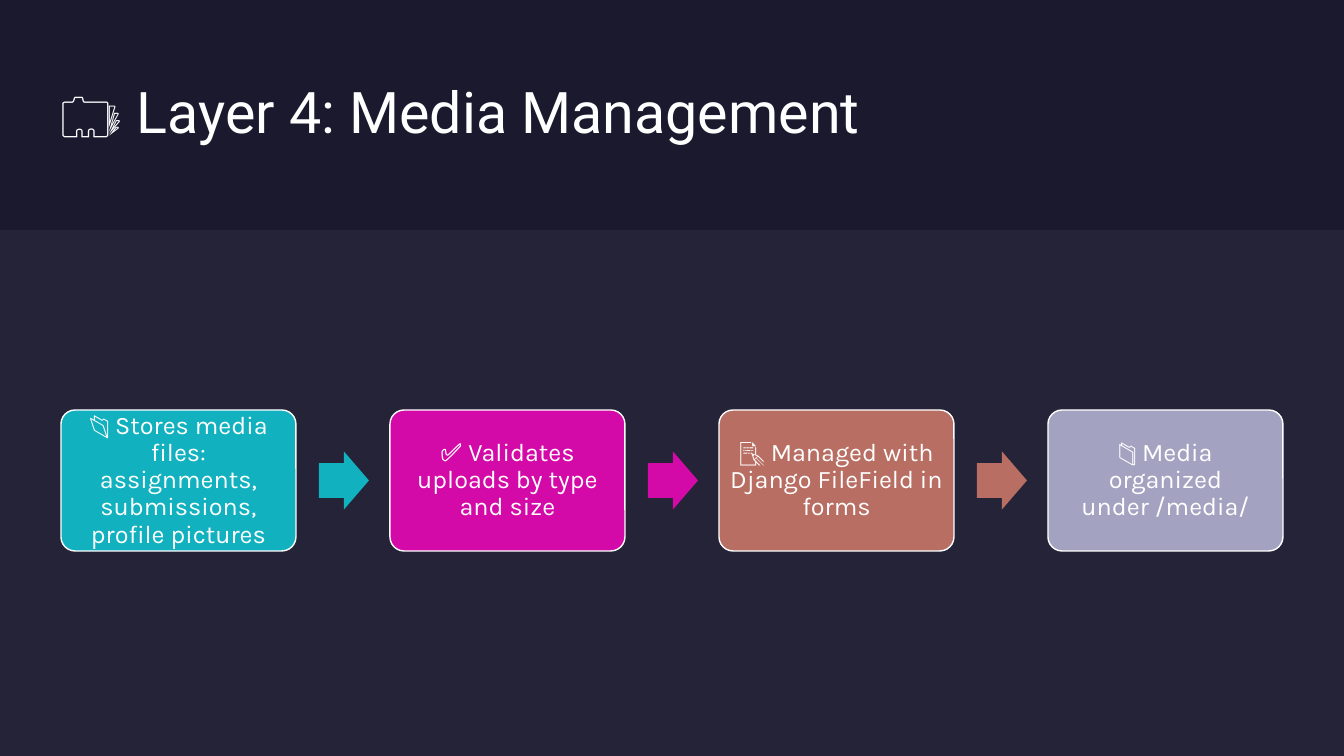
"""Builds the Layer 4: Media Management slide, a four-step process flow."""
from lxml.etree import SubElement
from pptx import Presentation
from pptx.dml.color import RGBColor
from pptx.enum.shapes import MSO_SHAPE
from pptx.enum.text import MSO_ANCHOR, MSO_AUTO_SIZE, PP_ALIGN
from pptx.oxml.ns import qn
from pptx.util import Pt

PX = 914400 / 100.8
SLIDE_W, SLIDE_H = 1344, 756
BAND_TOP = 230
STEP_LEFT, STEP_TOP, STEP_W, STEP_H, STEP_PITCH = 61, 410, 235, 141, 329
ARROW_OFFSET, ARROW_W, ARROW_H = 258, 50, 58

NAVY = RGBColor(0x1B, 0x19, 0x2E)
LAVENDER = RGBColor(0xE4, 0xE3, 0xF0)
WHITE = RGBColor(0xFF, 0xFF, 0xFF)
TEAL = RGBColor(0x12, 0xB1, 0xBF)
MAGENTA = RGBColor(0xD4, 0x0A, 0xA8)
CLAY = RGBColor(0xB8, 0x6E, 0x62)
MAUVE = RGBColor(0xA3, 0xA3, 0xC1)

STEPS = [
    ("📂 Stores media files: assignments, submissions, profile pictures", TEAL),
    ("✅ Validates uploads by type and size", MAGENTA),
    ("📝 Managed with Django FileField in forms", CLAY),
    ("📁 Media organized under /media/", MAUVE),
]


def box(preset, left, top, width, height, color):
    shape = slide.shapes.add_shape(
        preset, *(round(n * PX) for n in (left, top, width, height)))
    shape.shadow.inherit = False
    shape.fill.solid()
    shape.fill.fore_color.rgb = color
    shape.line.fill.background()
    return shape


def write(shape, text, font, size, align, inset=0):
    frame = shape.text_frame
    frame.text = text
    frame.word_wrap = True
    frame.auto_size = MSO_AUTO_SIZE.NONE
    frame.vertical_anchor = MSO_ANCHOR.MIDDLE
    frame.margin_left = frame.margin_right = round(inset * PX)
    frame.margin_top = frame.margin_bottom = round(inset * PX)
    paragraph = frame.paragraphs[0]
    paragraph.alignment = align
    paragraph.line_spacing = 0.9
    run_font = paragraph.runs[0].font
    run_font.name = font
    run_font.size = Pt(size)
    run_font.color.rgb = WHITE


prs = Presentation()
prs.slide_width, prs.slide_height = round(SLIDE_W * PX), round(SLIDE_H * PX)
slide = prs.slides.add_slide(prs.slide_layouts[5])
slide.background.fill.solid()
slide.background.fill.fore_color.rgb = NAVY

title = slide.shapes.title
title.left, title.top, title.width, title.height = (
    round(n * PX) for n in (60, 60, 805, 109))
write(title, "🗂️ Layer 4: Media Management", font="Roboto", size=41,
      align=PP_ALIGN.LEFT)

band = box(MSO_SHAPE.RECTANGLE, 0, BAND_TOP, SLIDE_W, SLIDE_H - BAND_TOP, LAVENDER)
band_color = band.fill._xPr.find(qn("a:solidFill"))[0]
SubElement(band_color, qn("a:alpha")).set("val", "5000")

for index, (label, color) in enumerate(STEPS):
    left = STEP_LEFT + index * STEP_PITCH
    step = box(MSO_SHAPE.ROUNDED_RECTANGLE, left, STEP_TOP, STEP_W, STEP_H, color)
    step.adjustments[0] = 0.1
    step.line.color.rgb = WHITE
    step.line.width = Pt(1)
    write(step, label, font="Karla", size=18, align=PP_ALIGN.CENTER, inset=7)
    if index < len(STEPS) - 1:
        arrow = box(MSO_SHAPE.RIGHT_ARROW, left + ARROW_OFFSET,
                    STEP_TOP + (STEP_H - ARROW_H) / 2, ARROW_W, ARROW_H, color)
        arrow.adjustments[0] = 0.6
        arrow.adjustments[1] = 0.5

prs.save("out.pptx")
